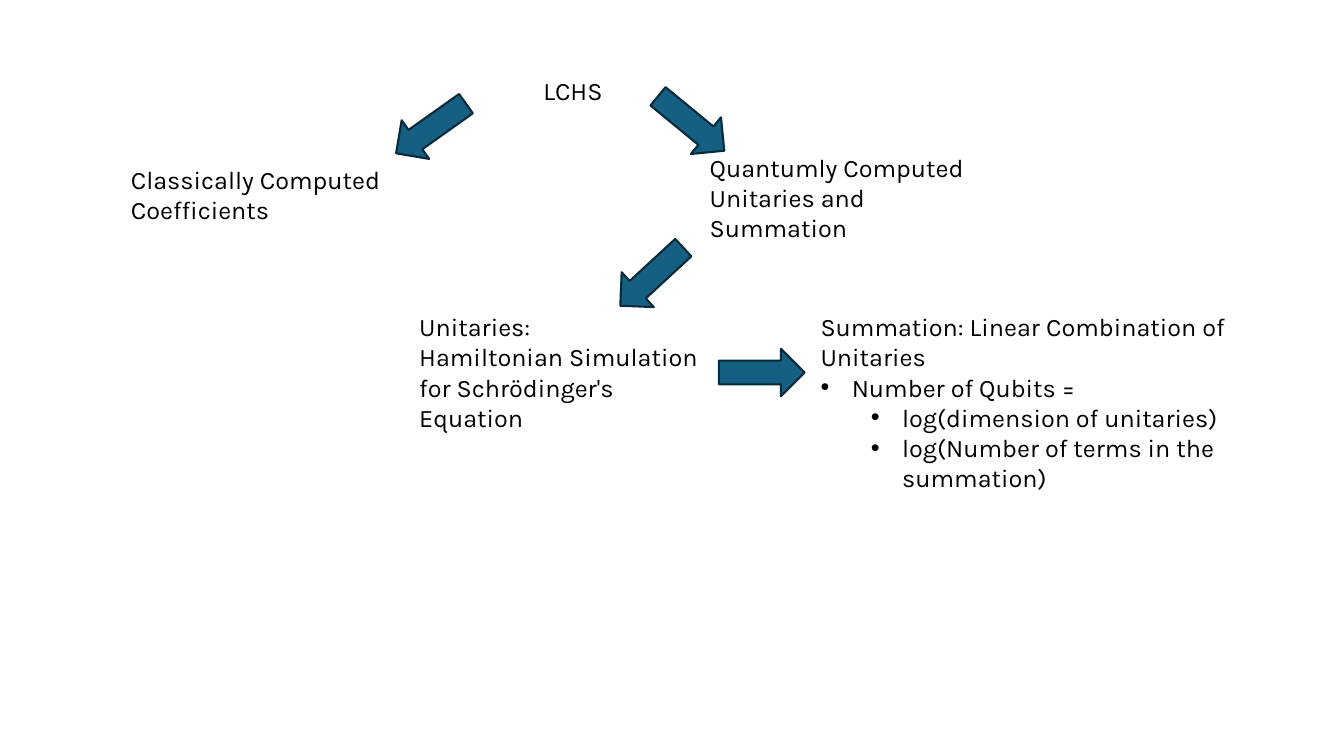
from pptx import Presentation
from pptx.dml.color import RGBColor
from pptx.enum.shapes import MSO_SHAPE
from pptx.enum.text import MSO_ANCHOR, MSO_AUTO_SIZE
from pptx.oxml.ns import qn
from pptx.util import Inches, Pt
from lxml import etree

DOWN_ARROW = MSO_SHAPE.DOWN_ARROW
TOP = MSO_ANCHOR.TOP
FIT_SHAPE = MSO_AUTO_SIZE.SHAPE_TO_FIT_TEXT

BLACK = RGBColor(0x00, 0x00, 0x00)
TEAL = RGBColor(0x15, 0x60, 0x82)
DARK_TEAL = RGBColor(0x09, 0x2A, 0x39)

FONT = "Karla"
HANGING = 0.31
LEVEL_STEP = 0.5
ARROW_WIDTH, ARROW_LENGTH = 0.47, 0.85

# Each node: left, top, width, height, then (text, bullet level) paragraphs
NODES = [
    (5.29, 0.7, 0.93, 0.4, [("LCHS", None)]),
    (1.2, 1.58, 2.86, 0.71, [("Classically Computed Coefficients", None)]),
    (6.94, 1.46, 3.07, 0.71,
     [("Quantumly Computed Unitaries and Summation", None)]),
    (4.06, 3.04, 3.07, 1.01,
     [("Unitaries:", None),
      ("Hamiltonian Simulation for Schrödinger's Equation", None)]),
    (8.04, 3.04, 5.3, 1.31,
     [("Summation: Linear Combination of Unitaries", None),
      ("Number of Qubits =", 0),
      ("log(dimension of unitaries)", 1),
      ("log(Number of terms in the summation)", 1)]),
]

# Each arrow: left, top, rotation in degrees
ARROWS = [
    (6.23, 2.32, 47.3),
    (7.32, 3.27, 270),
    (6.62, 0.8, 309.4),
    (4.04, 0.85, 54.6),
]


def add_bullet(para, level):
    para.level = level
    properties = para._p.get_or_add_pPr()
    properties.set("marL", str(Inches(HANGING + level * LEVEL_STEP)))
    properties.set("indent", str(-Inches(HANGING)))
    etree.SubElement(properties, qn("a:buFont")).set("typeface", "Arial")
    etree.SubElement(properties, qn("a:buChar")).set("char", "•")


def write_text(para, text, size=18, color=BLACK, bullet_level=None):
    if bullet_level is not None:
        add_bullet(para, bullet_level)
    span = para.add_run()
    span.text = text
    span.font.name = FONT
    span.font.size = Pt(size)
    span.font.color.rgb = color


def add_node(page, left, top, width, height, lines):
    box = page.shapes.add_textbox(
        Inches(left), Inches(top), Inches(width), Inches(height))
    frame = box.text_frame
    frame.word_wrap = True
    frame.auto_size = FIT_SHAPE
    frame.vertical_anchor = TOP
    for index, (text, level) in enumerate(lines):
        para = frame.add_paragraph() if index else frame.paragraphs[0]
        write_text(para, text, bullet_level=level)


def add_arrow(page, left, top, rotation):
    arrow = page.shapes.add_shape(
        DOWN_ARROW, Inches(left), Inches(top),
        Inches(ARROW_WIDTH), Inches(ARROW_LENGTH))
    arrow.rotation = rotation
    arrow.shadow.inherit = False
    arrow.fill.solid()
    arrow.fill.fore_color.rgb = TEAL
    arrow.line.color.rgb = DARK_TEAL
    arrow.line.width = Pt(1.5)


def main():
    deck = Presentation()
    deck.slide_width = Inches(13.33)
    deck.slide_height = Inches(7.5)
    page = deck.slides.add_slide(deck.slide_layouts.get_by_name("Blank"))
    for node in NODES:
        add_node(page, *node)
    for arrow in ARROWS:
        add_arrow(page, *arrow)
    deck.save("out.pptx")


if __name__ == "__main__":
    main()
